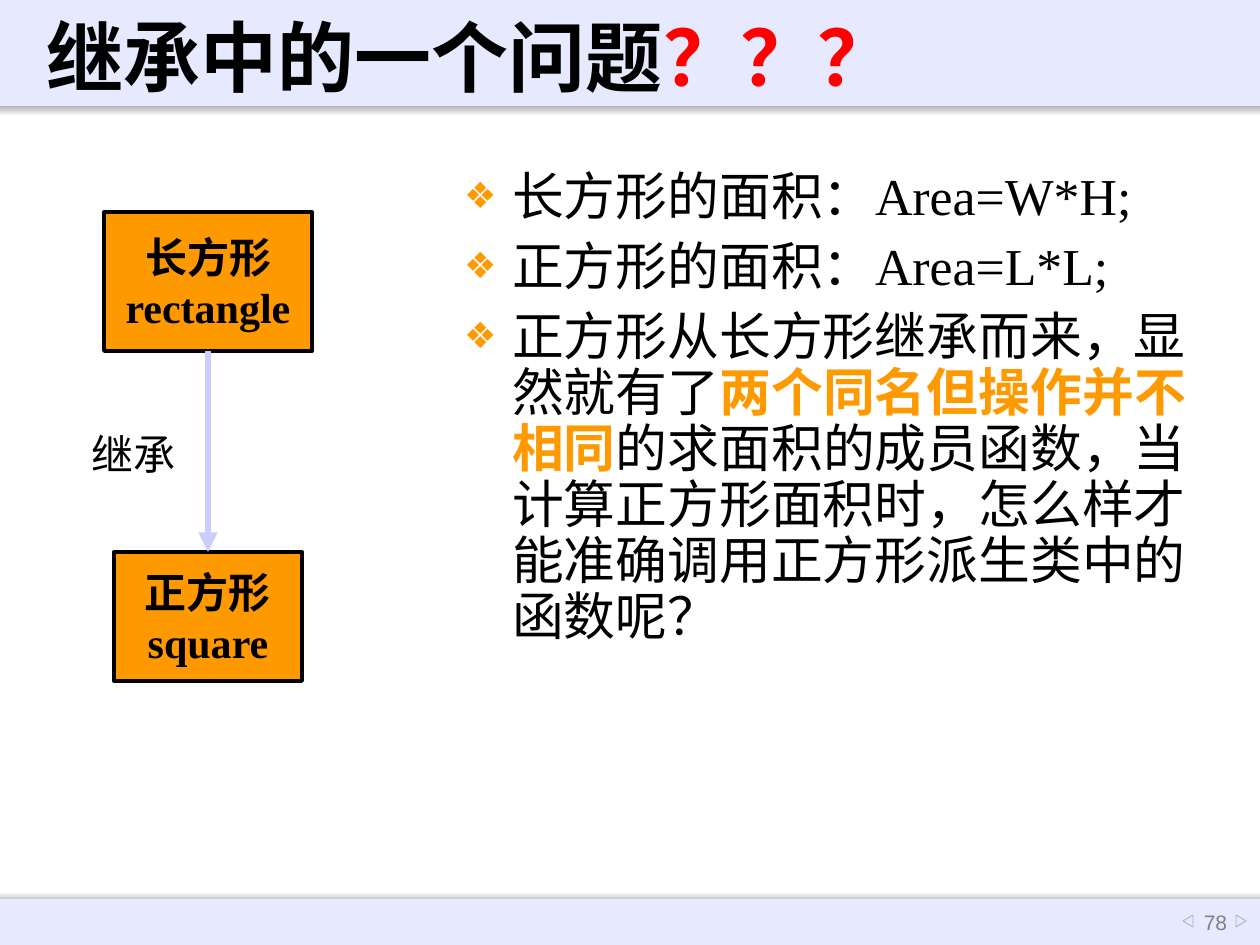
from lxml.etree import SubElement
from pptx import Presentation
from pptx.dml.color import RGBColor
from pptx.enum.shapes import MSO_CONNECTOR, MSO_SHAPE
from pptx.enum.text import MSO_ANCHOR, MSO_AUTO_SIZE, PP_ALIGN
from pptx.oxml.ns import qn
from pptx.util import Emu, Pt

PX = 914400 / 126
WIDTH, HEIGHT = 1260, 945
COLORS = {
    "black": "000000", "red": "FF0000", "orange": "FF9900", "band": "E7E9FF",
    "lilac": "CCCCFF", "shade": "B2B2B2", "white": "FFFFFF", "grey": "808080",
}

# A paragraph is a list of (text, run format) pairs.
TITLE = [[("继承中的一个问题", {}), ("？？？", {"color": "red"})]]
POINTS = [
    [("长方形的面积：Area=W*H;", {})],
    [("正方形的面积：Area=L*L;", {})],
    [("正方形从长方形继承而来，显然就有了", {}),
     ("两个同名但操作并不相同", {"color": "orange", "bold": True}),
     ("的求面积的成员函数，当计算正方形面积时，怎么样才能准确调用正方形派生类中的函数呢？", {})],
]
CLASSES = [
    (("长方形", "rectangle"), (104, 212, 208, 139)),
    (("正方形", "square"), (114, 552, 188, 129)),
]
BANDS = [(0, 0, WIDTH, 106), (0, 899, WIDTH, 46)]
SHADOWS = [((0, 106, WIDTH, 10), ("shade", "white")),
           ((0, 892, WIDTH, 10), ("white", "shade"))]
PAGE_ARROWS = [((1235, 916, 12, 10), 90), ((1182, 916, 12, 10), 270)]


def px(n):
    return Emu(round(n * PX))


def rgb(name):
    return RGBColor.from_string(COLORS[name])


def place(sp, box):
    sp.left, sp.top, sp.width, sp.height = map(px, box)


def add_bullet(p, indent=48):
    pPr = p._p.get_or_add_pPr()
    pPr.set("marL", str(px(indent)))
    pPr.set("indent", str(-px(indent)))
    color = SubElement(pPr, qn("a:buClr"))
    SubElement(color, qn("a:srgbClr"), val=COLORS["orange"])
    SubElement(pPr, qn("a:buSzPct"), val="70000")
    SubElement(pPr, qn("a:buChar"), char="❖")


def write(sp, paragraphs, size, color="black", bold=False, font="Times New Roman",
          align=PP_ALIGN.CENTER, anchor=MSO_ANCHOR.MIDDLE, wrap=True,
          margins=(13, 6), bullet=False, spacing=1.0, gap=0):
    tf = sp.text_frame
    tf.word_wrap, tf.auto_size, tf.vertical_anchor = wrap, MSO_AUTO_SIZE.NONE, anchor
    tf.margin_left = tf.margin_right = px(margins[0])
    tf.margin_top = tf.margin_bottom = px(margins[1])
    for i, runs in enumerate(paragraphs):
        p = tf.add_paragraph() if i else tf.paragraphs[0]
        if bullet:
            add_bullet(p)
        p.alignment, p.line_spacing = align, spacing
        p.space_before = Pt(gap if i else 0)
        for text, style in runs:
            r = p.add_run()
            r.text = text
            r.font.name, r.font.size = font, Pt(size)
            r.font.bold = style.get("bold", bold)
            r.font.color.rgb = rgb(style.get("color", color))


def add_shape(s, kind, box, fill=None, line=None, weight=1.0):
    sp = s.shapes.add_shape(kind, *map(px, box))
    sp.shadow.inherit = False
    if fill:
        sp.fill.solid()
        sp.fill.fore_color.rgb = rgb(fill)
    else:
        sp.fill.background()
    if line:
        sp.line.color.rgb = rgb(line)
        sp.line.width = Pt(weight)
    else:
        sp.line.fill.background()
    return sp


def add_text(s, box, text, size, **style):
    sp = s.shapes.add_textbox(*map(px, box))
    write(sp, [[(text, {})]], size, **style)


def add_frame(s):
    """Draw the header and footer bands, their shadows and the page number."""
    for box, stops in SHADOWS:
        fill = add_shape(s, MSO_SHAPE.RECTANGLE, box).fill
        fill.gradient()
        fill.gradient_angle = 270
        for stop, name in zip(fill.gradient_stops, stops):
            stop.color.rgb = rgb(name)
    for box in BANDS:
        add_shape(s, MSO_SHAPE.RECTANGLE, box, fill="band")
    add_text(s, (1176, 899, 79, 46), "78", 12, color="grey", font="Arial", margins=(0, 0))
    for box, angle in PAGE_ARROWS:
        sp = add_shape(s, MSO_SHAPE.ISOSCELES_TRIANGLE, box, line="shade", weight=0.5)
        sp.rotation = angle


def add_arrow(s, start, end):
    """Join the bottom of one shape to the top of another."""
    arrow = s.shapes.add_connector(MSO_CONNECTOR.STRAIGHT, 0, 0, 0, 0)
    arrow.begin_connect(start, 2)
    arrow.end_connect(end, 0)
    arrow.line.color.rgb = rgb("lilac")
    arrow.line.width = Pt(3.75)
    SubElement(arrow.line._get_or_add_ln(), qn("a:tailEnd"), type="triangle")
    SubElement(arrow._element.spPr, qn("a:effectLst"))


def main():
    prs = Presentation()
    prs.slide_width, prs.slide_height = px(WIDTH), px(HEIGHT)
    s = prs.slides.add_slide(prs.slide_layouts[1])
    title, body = s.placeholders
    add_frame(s)

    # Bring the placeholders in front of the bands.
    for sp in (title, body):
        s.shapes._spTree.append(sp._element)
    place(title, (34, 16, 1072, 80))
    write(title, TITLE, 44, bold=True, align=PP_ALIGN.LEFT)
    place(body, (451, 165, 753, 630))
    write(body, POINTS, 29.6, align=PP_ALIGN.LEFT, anchor=MSO_ANCHOR.TOP,
          bullet=True, spacing=0.9, gap=8)

    nodes = []
    for names, box in CLASSES:
        sp = add_shape(s, MSO_SHAPE.FLOWCHART_PROCESS, box, "orange", "black", 2.25)
        write(sp, [[(name, {})] for name in names], 24, bold=True, wrap=False)
        nodes.append(sp)
    add_arrow(s, *nodes)
    add_text(s, (64, 423, 139, 63), "继承", 24, anchor=MSO_ANCHOR.TOP, margins=(0, 6))
    prs.save("out.pptx")


if __name__ == "__main__":
    main()
